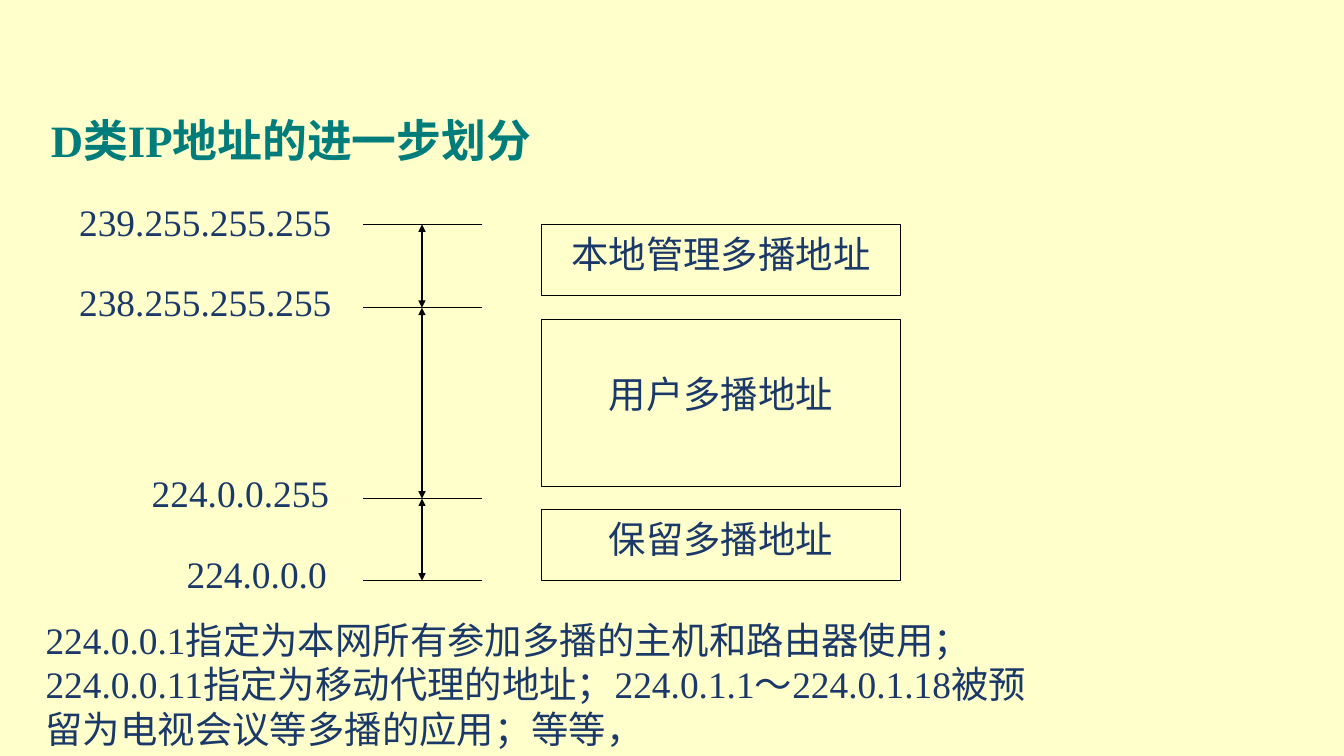
from lxml import etree
from pptx import Presentation
from pptx.dml.color import RGBColor
from pptx.enum.shapes import MSO_CONNECTOR, MSO_SHAPE
from pptx.enum.text import MSO_ANCHOR, PP_ALIGN
from pptx.oxml.ns import qn
from pptx.util import Inches, Pt

RECTANGLE = MSO_SHAPE.RECTANGLE
STRAIGHT = MSO_CONNECTOR.STRAIGHT
TOP, MIDDLE = MSO_ANCHOR.TOP, MSO_ANCHOR.MIDDLE
LEFT, CENTER, JUSTIFY = PP_ALIGN.LEFT, PP_ALIGN.CENTER, PP_ALIGN.JUSTIFY

FONT = "Times New Roman"
BACKGROUND, TEAL, NAVY, BLACK = "FFFFCC", "007D7A", "1A3868", "000000"
SLIDE_WIDTH = 10
SLIDE_HEIGHT = SLIDE_WIDTH * 9 / 16
TICK_LEFT, TICK_RIGHT, ARROW_X = 2.7, 3.59, 3.14
BOX_LEFT, BOX_WIDTH = 4.03, 2.67
BOUNDARIES = [1.67, 2.29, 3.71, 4.32]
ADDRESSES = [
    ("239.255.255.255", 0.49, 1.43, 2.12),
    ("238.255.255.255", 0.49, 2.03, 2.12),
    ("224.0.0.255", 1.03, 3.45, 1.78),
    ("224.0.0.0", 1.29, 4.05, 1.56),
]
RANGES = [
    ("本地管理多播地址", 1.67, 0.53, 0.05),
    ("用户多播地址", 2.38, 1.24, 0.38),
    ("保留多播地址", 3.79, 0.53, 0.05),
]
NOTE = (
    "224.0.0.1指定为本网所有参加多播的主机和路由器使用；"
    "224.0.0.11指定为移动代理的地址；"
    "224.0.1.1～224.0.1.18被预留为电视会议等多播的应用；等等，"
)


def color(value):
    return RGBColor.from_string(value)


def write_text(shape, text, size=20, fill=NAVY, bold=False, align=LEFT, anchor=TOP):
    text_frame = shape.text_frame
    text_frame.word_wrap = True
    text_frame.vertical_anchor = anchor
    text_frame.text = text
    paragraph = text_frame.paragraphs[0]
    paragraph.alignment = align
    font = paragraph.runs[0].font
    font.name = FONT
    font.size = Pt(size)
    font.bold = bold
    font.color.rgb = color(fill)


def add_text(slide, text, left, top, width, height, **style):
    box = slide.shapes.add_textbox(
        Inches(left), Inches(top), Inches(width), Inches(height)
    )
    write_text(box, text, **style)


def add_range_box(slide, text, top, height, margin_top):
    box = slide.shapes.add_shape(
        RECTANGLE, Inches(BOX_LEFT), Inches(top), Inches(BOX_WIDTH), Inches(height)
    )
    box.shadow.inherit = False
    box.fill.background()
    box.line.color.rgb = color(BLACK)
    box.line.width = Pt(0.75)
    write_text(box, text, align=CENTER)
    box.text_frame.margin_top = Inches(margin_top)


def add_line(slide, x1, y1, x2, y2, arrows=False):
    connector = slide.shapes.add_connector(
        STRAIGHT, Inches(x1), Inches(y1), Inches(x2), Inches(y2)
    )
    connector.line.color.rgb = color(BLACK)
    connector.line.width = Pt(0.75)
    properties = connector._element.spPr
    if arrows:
        line = properties.find(qn("a:ln"))
        for end in ("a:headEnd", "a:tailEnd"):
            etree.SubElement(line, qn(end), type="triangle", w="sm", len="sm")
    etree.SubElement(properties, qn("a:effectLst"))


def main():
    presentation = Presentation()
    presentation.slide_width = Inches(SLIDE_WIDTH)
    presentation.slide_height = Inches(SLIDE_HEIGHT)
    slide = presentation.slides.add_slide(presentation.slide_layouts[6])
    slide.background.fill.solid()
    slide.background.fill.fore_color.rgb = color(BACKGROUND)

    add_text(slide, "D类IP地址的进一步划分", 0.28, 0.73, 7.03, 0.61,
             size=24, fill=TEAL, bold=True, anchor=MIDDLE)
    for address, left, top, width in ADDRESSES:
        add_text(slide, address, left, top, width, 0.53, align=JUSTIFY)
    for address_range in RANGES:
        add_range_box(slide, *address_range)
    for y in BOUNDARIES:
        add_line(slide, TICK_RIGHT, y, TICK_LEFT, y)
    for start, end in zip(BOUNDARIES, BOUNDARIES[1:]):
        add_line(slide, ARROW_X, start, ARROW_X, end, arrows=True)
    add_text(slide, NOTE, 0.24, 4.54, 7.75, 1.11)

    presentation.save("out.pptx")


if __name__ == "__main__":
    main()
